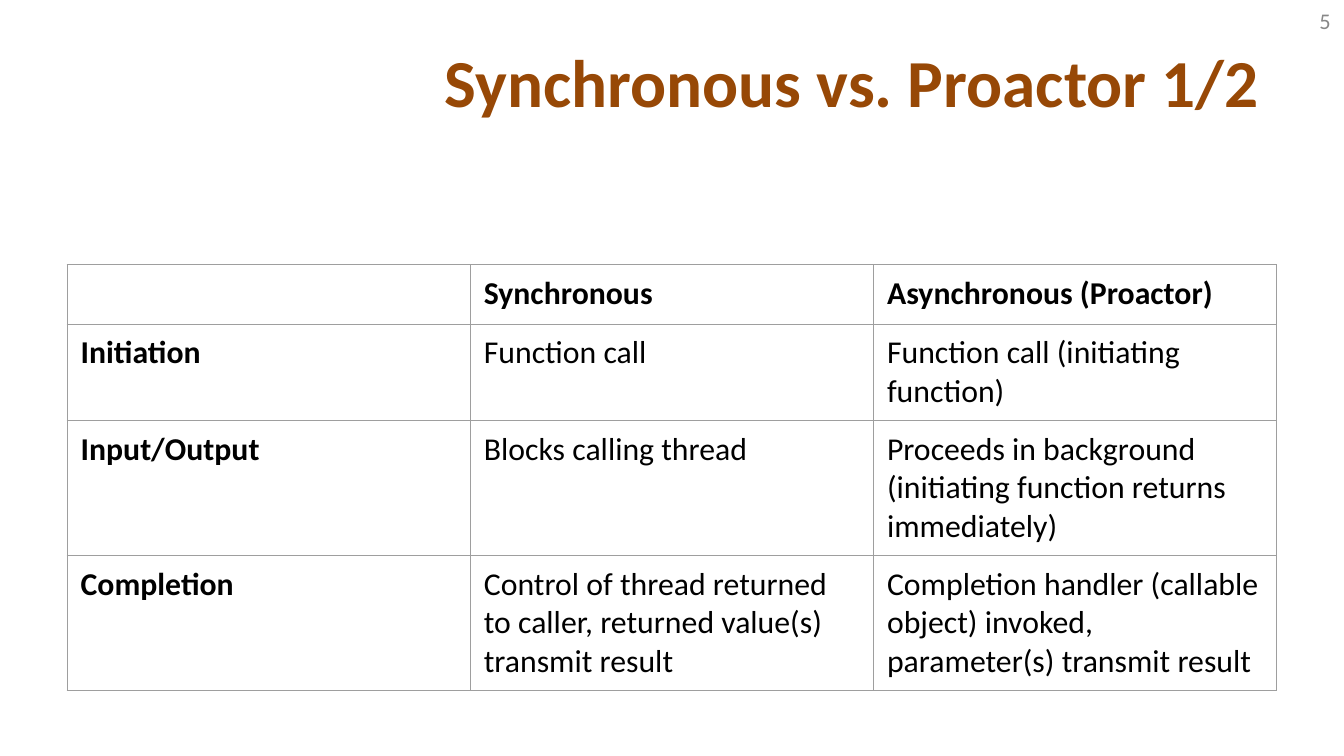
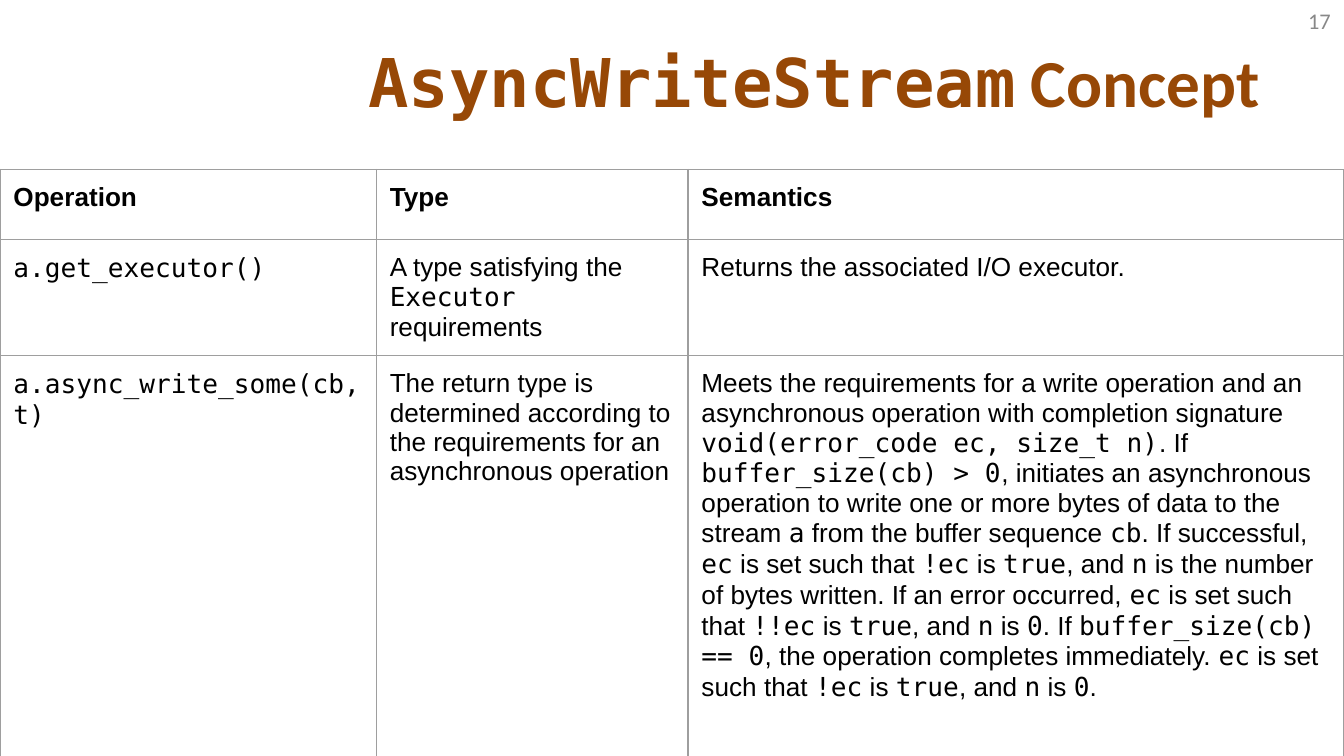
import pptx
import pptx.dml.color
import pptx.enum.text
import pptx.oxml
import pptx.oxml.ns
import pptx.util

Pt = pptx.util.Pt

# Shared look
SANS, ARIAL, MONO = "Calibri", "Arial", "DejaVu Sans Mono"
BROWN, GRAY, BLACK, BORDER = "974806", "888888", "000000", "9E9E9E"
TITLE_ONLY = 5
SIDE_MARGIN = 7.2

# Table contents; backticks mark code
COMPARISON = [
    ["", "Synchronous", "Asynchronous (Proactor)"],
    ["Initiation", "Function call", "Function call (initiating function)"],
    ["Input/Output", "Blocks calling thread",
     "Proceeds in background (initiating function returns immediately)"],
    ["Completion",
     "Control of thread returned to caller, returned value(s) transmit result",
     "Completion handler (callable object) invoked, parameter(s) transmit result"],
]
OPERATIONS = [
    ["Operation", "Type", "Semantics"],
    ["`a.get_executor()`", "A type satisfying the `Executor` requirements",
     "Returns the associated I/O executor."],
    ["`a.async_write_some(cb,t)`",
     "The return type is determined according to the requirements for an "
     "asynchronous operation",
     "Meets the requirements for a write operation and an asynchronous "
     "operation with completion signature\n"
     "`void(error_code ec, size_t n)`. If `buffer_size(cb) > 0`, initiates an "
     "asynchronous operation to write one or more bytes of data to the stream "
     "`a` from the buffer sequence `cb`. If successful, `ec` is set such that "
     "`!ec` is `true`, and `n` is the number of bytes written. If an error "
     "occurred, `ec` is set such that `!!ec` is `true`, and `n` is `0`. If "
     "`buffer_size(cb) == 0`, the operation completes immediately. `ec` is set "
     "such that `!ec` is `true`, and `n` is `0`."],
]


def color(hex_string):
    return pptx.dml.color.RGBColor.from_string(hex_string)


def write_paragraph(paragraph, text, font_name, size, hex_color, bold=False):
    """Write text, setting the parts between backticks in the code font."""
    font = paragraph.font
    font.size, font.bold = Pt(size), bold
    font.color.rgb = color(hex_color)
    pieces = [(piece, MONO if index % 2 else font_name)
              for index, piece in enumerate(text.split("`")) if piece]
    names = {name for _, name in pieces}
    if len(names) == 1:
        font.name = names.pop()
    for piece, name in pieces:
        run = paragraph.add_run()
        run.text = piece
        if font.name is None:
            run.font.name = name


def write_line(shape, text, size, hex_color, bold=False):
    """Fill a shape with one right-aligned, vertically centred line."""
    frame = shape.text_frame
    frame.word_wrap = True
    frame.auto_size = pptx.enum.text.MSO_AUTO_SIZE.NONE
    frame.vertical_anchor = pptx.enum.text.MSO_ANCHOR.MIDDLE
    paragraph = frame.paragraphs[0]
    paragraph.alignment = pptx.enum.text.PP_ALIGN.RIGHT
    write_paragraph(paragraph, text, SANS, size, hex_color, bold)


def add_titled_slide(presentation, title, number):
    slide = presentation.slides.add_slide(presentation.slide_layouts[TITLE_ONLY])
    shape = slide.shapes.title
    shape.left, shape.top, shape.width, shape.height = Pt(34), Pt(26), Pt(648), Pt(34.5)
    write_line(shape, title, 36, BROWN, bold=True)
    number_box = slide.shapes.add_textbox(Pt(552), Pt(0), Pt(168), Pt(21.6))
    write_line(number_box, str(number), 12, GRAY)
    return slide


def add_borders(cell):
    properties = cell._tc.get_or_add_tcPr()
    for side in ("lnL", "lnR", "lnT", "lnB"):
        properties.append(pptx.oxml.parse_xml(
            f'<a:{side} {pptx.oxml.ns.nsdecls("a")} w="{Pt(0.75)}"><a:solidFill>'
            f'<a:srgbClr val="{BORDER}"/></a:solidFill></a:{side}>'))


def add_grid(slide, left, top, widths, heights, rows, font_name, size,
             vertical_margin, bold_first_column=False):
    table = slide.shapes.add_table(
        len(rows), len(widths), Pt(left), Pt(top),
        Pt(sum(widths)), Pt(sum(heights))).table
    table.first_row = table.horz_banding = False
    for column, width in zip(table.columns, widths):
        column.width = Pt(width)
    for row_index, (row, height) in enumerate(zip(rows, heights)):
        table.rows[row_index].height = Pt(height)
        for column_index, text in enumerate(row):
            cell = table.cell(row_index, column_index)
            add_borders(cell)
            cell.fill.background()
            cell.margin_left = cell.margin_right = Pt(SIDE_MARGIN)
            cell.margin_top = cell.margin_bottom = Pt(vertical_margin)
            if not text:
                continue
            bold = row_index == 0 or (bold_first_column and column_index == 0)
            frame = cell.text_frame
            for line_index, line in enumerate(text.split("\n")):
                paragraph = frame.add_paragraph() if line_index else frame.paragraphs[0]
                write_paragraph(paragraph, line, font_name, size, BLACK, bold)


def main():
    presentation = pptx.Presentation()
    presentation.slide_width, presentation.slide_height = Pt(720), Pt(405)

    # Synchronous and asynchronous side by side
    slide = add_titled_slide(presentation, "Synchronous vs. Proactor 1/2", 5)
    add_grid(slide, 36, 141.75, [216] * 3, [30] + [22.5] * 3, COMPARISON,
             SANS, 17, 5, bold_first_column=True)

    # Operations of the concept
    slide = add_titled_slide(presentation, "`AsyncWriteStream` Concept", 17)
    add_grid(slide, 0, 90.75, [201.6, 167, 351.4], [37.5, 55.5, 222], OPERATIONS,
             ARIAL, 14, 7.2)

    presentation.save("out.pptx")


if __name__ == "__main__":
    main()
